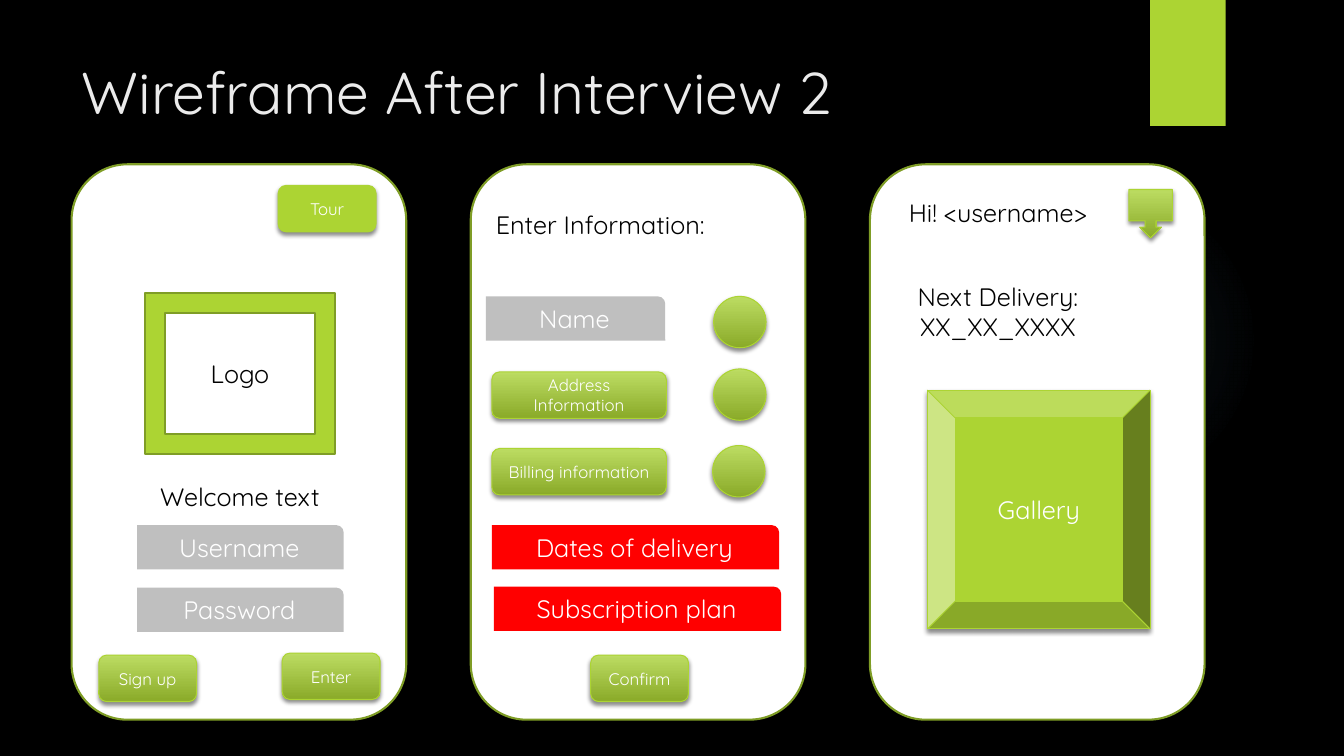
from dataclasses import dataclass

from pptx import Presentation, util as u
from pptx.dml.color import RGBColor
from pptx.enum import shapes, text
from pptx.oxml import parse_xml
from pptx.oxml.ns import nsdecls, qn

Kind = shapes.MSO_SHAPE
SLIDE_WIDTH, SLIDE_HEIGHT = u.Inches(13.33), u.Inches(7.5)
COLUMN, ROW = SLIDE_WIDTH / 160, SLIDE_HEIGHT / 90


@dataclass(frozen=True)
class Theme:
    font: str = "Quicksand"
    title_size: float = 42
    body_size: float = 18
    button_size: float = 12
    background: str = "000000"
    title: str = "EBEBEB"
    white: str = "FFFFFF"
    black: str = "000000"
    green: str = "ACD433"
    dark_green: str = "7F9D26"
    gloss_top: str = "BCDC62"
    gloss_bottom: str = "8AAA29"
    grey: str = "BFBFBF"
    red: str = "FF0000"
    glow: str = "7AC4F0"


THEME = Theme()


@dataclass(frozen=True)
class Box:
    """A place in grid columns and rows."""
    column: float
    row: float
    columns: float
    rows: float

    def shifted(self, columns: float) -> "Box":
        return Box(self.column + columns, self.row, self.columns, self.rows)

    def lengths(self) -> tuple[int, int, int, int]:
        return (round(self.column * COLUMN), round(self.row * ROW),
                round(self.columns * COLUMN), round(self.rows * ROW))


@dataclass(frozen=True)
class Style:
    fill: tuple[str, ...]
    line: str = ""
    line_width: float = 0.75
    shadow: bool = False
    size: float = THEME.body_size
    ink: str = THEME.white


@dataclass(frozen=True)
class Part:
    """A wireframe element, with its column counted from the phone's left edge."""
    kind: Kind
    style: Style
    box: Box
    label: str = ""


@dataclass(frozen=True)
class Caption:
    label: str
    box: Box


GLOSS = (THEME.gloss_top, THEME.gloss_bottom)
PHONE = Style((THEME.white,), THEME.dark_green, 1.5)
LOGO = Style((THEME.green,), THEME.dark_green, 1.5, ink=THEME.black)
FIELD = Style((THEME.grey,))
CHOICE = Style((THEME.red,))
BUTTON = Style(GLOSS, THEME.green, shadow=True, size=THEME.button_size)
FLAT_BUTTON = Style((THEME.green,), THEME.green, shadow=True, size=THEME.button_size)
GALLERY = Style((THEME.green,), THEME.green, shadow=True)
TAB = Style((THEME.green,), shadow=True)

FIRST_PHONE = Box(8.52, 19.56, 39.84, 66.12)
PHONE_STEP = 47.52
FIELD_ROWS, BUTTON_ROWS, BUTTON_COLUMNS = 5.28, 5.52, 11.64


def field(label: str, column: float, row: float, columns: float,
          style: Style = FIELD) -> Part:
    return Part(Kind.ROUND_1_RECTANGLE, style, Box(column, row, columns, FIELD_ROWS), label)


def button(label: str, column: float, row: float,
           columns: float = BUTTON_COLUMNS, style: Style = BUTTON) -> Part:
    return Part(Kind.ROUNDED_RECTANGLE, style, Box(column, row, columns, BUTTON_ROWS), label)


def marker(column: float, row: float) -> Part:
    return Part(Kind.OVAL, BUTTON, Box(column, row, 6.24, 6.12))


LOGIN = [
    Part(Kind.FRAME, LOGO, Box(8.76, 34.92, 22.56, 19.08), "Logo"),
    Caption("Welcome text", Box(6.72, 56.76, 26.64, 4.8)),
    field("Username", 7.8, 62.52, 24.6),
    field("Password", 7.8, 69.96, 24.6),
    button("Sign up", 3.24, 78),
    button("Enter", 25.08, 77.76),
    button("Tour", 24.6, 22.08, style=FLAT_BUTTON),
]
DETAILS = [
    Caption("Enter Information:", Box(0.6, 24.36, 29.64, 4.8)),
    field("Name", 1.8, 35.28, 21.36),
    button("Address Information", 2.52, 44.28, 20.76),
    button("Billing information", 2.52, 53.4, 20.76),
    button("Confirm", 14.28, 78),
    marker(28.92, 35.28),
    marker(28.92, 43.92),
    marker(28.8, 53.04),
    field("Dates of delivery", 2.52, 62.52, 34.2, CHOICE),
    field("Subscription plan", 2.76, 69.84, 34.2, CHOICE),
]
HOME = [
    Caption("Hi! <username>", Box(1.44, 22.92, 27.6, 4.8)),
    Part(Kind.DOWN_ARROW_CALLOUT, BUTTON, Box(30.84, 22.56, 5.16, 5.76)),
    Caption("Next Delivery: XX_XX_XXXX", Box(1.44, 32.88, 27.6, 8.52)),
    Part(Kind.BEVEL, GALLERY, Box(6.84, 46.44, 26.52, 28.44), "Gallery"),
]


def rgb(color: str) -> RGBColor:
    return RGBColor.from_string(color)


def write(frame, label: str, size: float, ink: str, align=text.PP_ALIGN.CENTER) -> None:
    frame.word_wrap = True
    frame.text = label
    paragraph = frame.paragraphs[0]
    paragraph.alignment = align
    paragraph.font.name = THEME.font
    paragraph.font.size = u.Pt(size)
    paragraph.font.color.rgb = rgb(ink)


def add_shadow(shape) -> None:
    effects = shape._element.spPr.find(qn("a:effectLst"))
    effects.append(parse_xml(
        f'<a:outerShdw {nsdecls("a")} blurRad="{u.Pt(3)}" dist="{u.Pt(2)}" dir="5400000" '
        f'algn="ctr" rotWithShape="0"><a:srgbClr val="{THEME.black}">'
        '<a:alpha val="45000"/></a:srgbClr></a:outerShdw>'))


def draw_part(slide, part: Part, offset: float = 0) -> None:
    style = part.style
    shape = slide.shapes.add_shape(part.kind, *part.box.shifted(offset).lengths())
    shape.shadow.inherit = False
    if len(style.fill) > 1:
        shape.fill.gradient()
        shape.fill.gradient_angle = 270
        for position, (stop, color) in enumerate(zip(shape.fill.gradient_stops, style.fill)):
            stop.position = position
            stop.color.rgb = rgb(color)
    else:
        shape.fill.solid()
        shape.fill.fore_color.rgb = rgb(style.fill[0])
    if style.line:
        shape.line.color.rgb = rgb(style.line)
        shape.line.width = u.Pt(style.line_width)
    else:
        shape.line.fill.background()
    if style.shadow:
        add_shadow(shape)
    if part.label:
        write(shape.text_frame, part.label, style.size, style.ink)


def draw_caption(slide, caption: Caption, offset: float) -> None:
    frame = slide.shapes.add_textbox(*caption.box.shifted(offset).lengths()).text_frame
    write(frame, caption.label, THEME.body_size, THEME.black)
    frame.auto_size = text.MSO_AUTO_SIZE.SHAPE_TO_FIT_TEXT


def draw_glow(slide, box: Box) -> None:
    """Draw a faint disc of light that fades towards its rim."""
    disc = slide.shapes.add_shape(Kind.OVAL, *box.lengths())
    disc.shadow.inherit = False
    disc.line.fill.background()
    disc.fill.background()
    stops = "".join(
        f'<a:gs pos="{share * 1000}"><a:srgbClr val="{THEME.glow}">'
        f'<a:alpha val="{alpha * 1000}"/></a:srgbClr></a:gs>'
        for share, alpha in ((0, 7), (36, 6), (69, 0)))
    properties = disc._element.spPr
    properties.replace(properties.find(qn("a:noFill")), parse_xml(
        f'<a:gradFill {nsdecls("a")}><a:gsLst>{stops}</a:gsLst><a:path path="circle">'
        '<a:fillToRect l="50000" t="50000" r="50000" b="50000"/></a:path></a:gradFill>'))


def draw_title(slide, label: str, box: Box) -> None:
    title = slide.shapes.title
    title.left, title.top, title.width, title.height = box.lengths()
    write(title.text_frame, label, THEME.title_size, THEME.title, text.PP_ALIGN.LEFT)
    title.text_frame.vertical_anchor = text.MSO_ANCHOR.TOP


def main() -> None:
    deck = Presentation()
    deck.slide_width, deck.slide_height = SLIDE_WIDTH, SLIDE_HEIGHT
    slide = deck.slides.add_slide(deck.slide_layouts[5])
    slide.background.fill.solid()
    slide.background.fill.fore_color.rgb = rgb(THEME.background)
    draw_glow(slide, Box(112.92, 21.96, 36.96, 36.96))
    draw_part(slide, Part(Kind.RECTANGLE, TAB, Box(136.92, 0, 9, 15)))
    draw_title(slide, "Wireframe After Interview 2", Box(8.52, 6, 123.48, 18.36))
    for index, screen in enumerate((LOGIN, DETAILS, HOME)):
        offset = index * PHONE_STEP
        draw_part(slide, Part(Kind.ROUNDED_RECTANGLE, PHONE, FIRST_PHONE), offset)
        for item in screen:
            draw = draw_caption if isinstance(item, Caption) else draw_part
            draw(slide, item, FIRST_PHONE.column + offset)
    deck.save("out.pptx")


if __name__ == "__main__":
    main()
